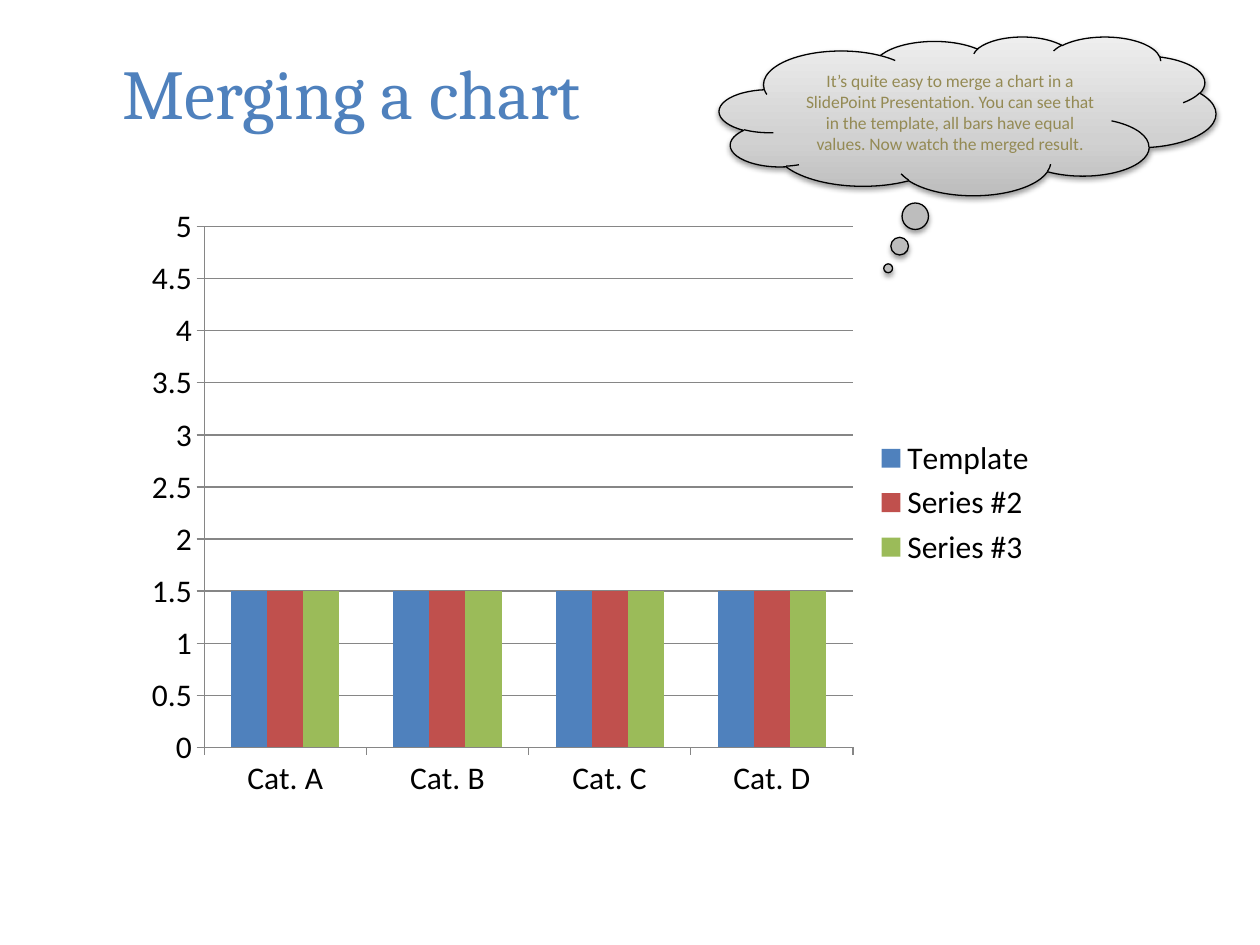
from lxml.etree import SubElement
from pptx import Presentation
from pptx.chart.data import CategoryChartData
from pptx.dml.color import RGBColor
from pptx.enum.chart import XL_CHART_TYPE, XL_LEGEND_POSITION, XL_TICK_MARK
from pptx.enum.shapes import MSO_SHAPE
from pptx.enum.text import MSO_ANCHOR, PP_ALIGN
from pptx.oxml.ns import qn
from pptx.util import Inches, Pt

COLORS = {
    "blue": "4F81BD",
    "red": "C0504D",
    "green": "9BBB59",
    "olive": "948A54",
    "black": "000000",
    "grid": "868686",
    "cloud_dark": "BDBDBD",
    "cloud_mid": "D1D1D1",
    "cloud_light": "EEEEEE",
}
CATEGORIES = ["Cat. A", "Cat. B", "Cat. C", "Cat. D"]
SERIES_COLORS = {"Template": "blue", "Series #2": "red", "Series #3": "green"}
BAR_VALUE = 1.5
CLOUD_STOPS = [(0, "cloud_dark"), (35, "cloud_mid"), (100, "cloud_light")]
THOUGHT = (
    "It’s quite easy to merge a chart in a SlidePoint Presentation. "
    "You can see that in the template, all bars have equal values. "
    "Now watch the merged result."
)


def rgb(name):
    """Return the palette colour with the given name."""
    return RGBColor.from_string(COLORS[name])


def write_centred(frame, text, font_name, size, color):
    """Write one centred run in the middle of a text frame."""
    frame.word_wrap = True
    frame.vertical_anchor = MSO_ANCHOR.MIDDLE
    paragraph = frame.paragraphs[0]
    paragraph.alignment = PP_ALIGN.CENTER
    run = paragraph.add_run()
    run.text = text
    run.font.name = font_name
    run.font.size = Pt(size)
    run.font.color.rgb = rgb(color)


def add_title(slide, box):
    """Place the slide title in the box."""
    title = slide.shapes.add_textbox(*box)
    write_centred(title.text_frame, "Merging a chart", "Cambria", 40, "blue")


def style_axis(axis):
    """Give an axis its line and outside tick marks."""
    axis.major_tick_mark = XL_TICK_MARK.OUTSIDE
    axis.minor_tick_mark = XL_TICK_MARK.NONE
    axis.tick_labels.font.size = Pt(18)
    axis.format.line.color.rgb = rgb("grid")
    axis.format.line.width = Pt(0.75)


def add_column_chart(slide, box):
    """Place the clustered column chart in the box."""
    data = CategoryChartData()
    data.categories = CATEGORIES
    for name in SERIES_COLORS:
        data.add_series(name, [BAR_VALUE] * len(CATEGORIES))
    chart = slide.shapes.add_chart(XL_CHART_TYPE.COLUMN_CLUSTERED, *box, data).chart
    chart.has_title = False
    chart.font.name = "Calibri"
    chart.font.size = Pt(18)
    chart.font.color.rgb = rgb("black")
    chart.has_legend = True
    chart.legend.position = XL_LEGEND_POSITION.RIGHT
    chart.legend.include_in_layout = False

    plot = chart.plots[0]
    plot.gap_width = 150
    plot.vary_by_categories = False
    for series, color in zip(plot.series, SERIES_COLORS.values()):
        series.format.fill.solid()
        series.format.fill.fore_color.rgb = rgb(color)

    style_axis(chart.category_axis)
    values = chart.value_axis
    style_axis(values)
    values.minimum_scale = 0
    values.maximum_scale = 5
    values.major_unit = 0.5
    values.has_major_gridlines = True
    values.major_gridlines.format.line.color.rgb = rgb("grid")
    values.major_gridlines.format.line.width = Pt(0.75)


def add_color(parent, name):
    """Append a palette colour to an XML element and return it."""
    return SubElement(parent, qn("a:srgbClr"), val=COLORS[name])


def add_thought_cloud(slide, box):
    """Place the shaded thought cloud in the box."""
    cloud = slide.shapes.add_shape(MSO_SHAPE.CLOUD_CALLOUT, *box)
    cloud.adjustments[0] = -0.16
    cloud.adjustments[1] = 0.96
    cloud.line.color.rgb = rgb("black")
    cloud.line.width = Pt(0.75)
    cloud.fill.gradient()
    cloud.fill.gradient_angle = 90
    cloud.shadow.inherit = False

    properties = cloud._element.spPr
    stops = properties.find(f"{qn('a:gradFill')}/{qn('a:gsLst')}")
    for stop in list(stops):
        stops.remove(stop)
    for percent, color in CLOUD_STOPS:
        add_color(SubElement(stops, qn("a:gs"), pos=str(percent * 1000)), color)

    shadow = SubElement(
        properties.find(qn("a:effectLst")), qn("a:outerShdw"),
        blurRad=str(Pt(3.1)), dist=str(Pt(1.6)), dir="5400000", rotWithShape="0",
    )
    SubElement(add_color(shadow, "black"), qn("a:alpha"), val="38000")
    write_centred(cloud.text_frame, THOUGHT, "Calibri", 10, "olive")


def main():
    """Build the slide and save it."""
    deck = Presentation()
    deck.slide_width, deck.slide_height = Inches(10), Inches(7.5)
    slide = deck.slides.add_slide(deck.slide_layouts[6])
    add_title(slide, [Inches(n) for n in (0.5, 0.3, 4.58, 0.85)])
    add_column_chart(slide, [Inches(n) for n in (1.06, 1.55, 7.27, 4.88)])
    add_thought_cloud(slide, [Inches(n) for n in (5.71, 0.29, 3.94, 1.26)])
    deck.save("out.pptx")


if __name__ == "__main__":
    main()
